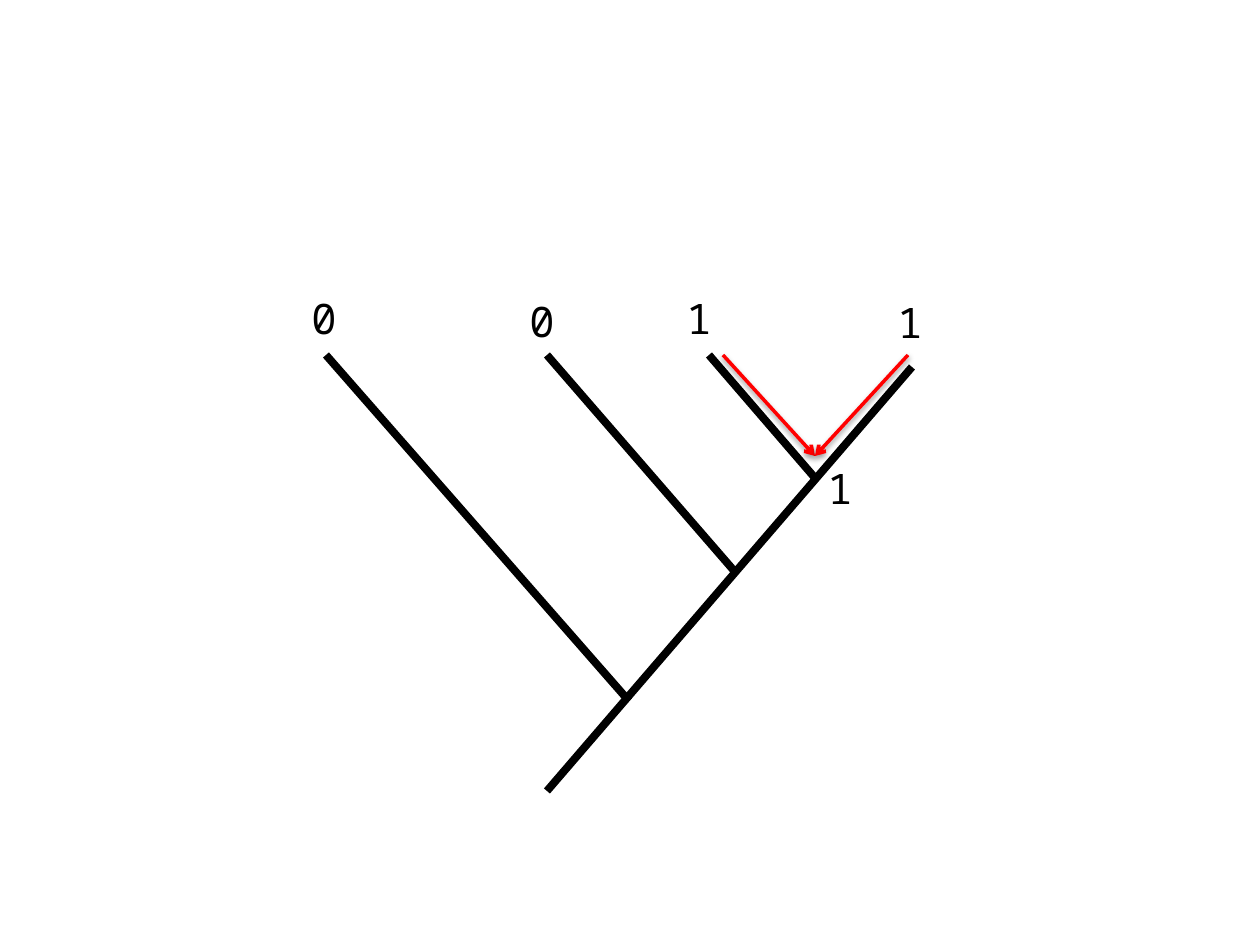
import lxml.etree
import pptx
import pptx.dml.color
import pptx.enum.shapes
import pptx.enum.text
import pptx.oxml.ns
import pptx.util

PX = 914400 / 126
COLORS = {"branch": "000000", "state": "000000", "pass": "FF0000", "shadow": "000000"}
FONT = "Noto Sans Mono"


def emu(px):
    return pptx.util.Emu(round(px * PX))


def color(name):
    return pptx.dml.color.RGBColor.from_string(COLORS[name])


def add_xml(parent, tag, **attributes):
    return lxml.etree.SubElement(parent, pptx.oxml.ns.qn(tag), attributes)


class TreeSlide:
    def __init__(self, presentation):
        self.slide = presentation.slides.add_slide(presentation.slide_layouts[6])
        self.shapes = self.slide.shapes

    def state(self, text, left, top, shapes=None):
        box = (shapes or self.shapes).add_textbox(emu(left), emu(top), emu(57), emu(63))
        frame = box.text_frame
        frame.word_wrap = True
        frame.auto_size = pptx.enum.text.MSO_AUTO_SIZE.SHAPE_TO_FIT_TEXT
        run = frame.paragraphs[0].add_run()
        run.text = text
        run.font.name = FONT
        run.font.size = pptx.util.Pt(24)
        run.font.color.rgb = color("state")

    def line(self, shapes, start, end, stroke, width):
        connector = shapes.add_connector(
            pptx.enum.shapes.MSO_CONNECTOR.STRAIGHT, *map(emu, start + end))
        connector.line.color.rgb = color(stroke)
        connector.line.width = pptx.util.Pt(width)
        effects = add_xml(connector._element.spPr, "a:effectLst")
        return connector, effects

    def branch(self, start, end):
        self.line(self.shapes, start, end, "branch", 4.5)

    def arrow(self, start, end, shapes):
        connector, effects = self.line(shapes, start, end, "pass", 2)
        add_xml(connector.line._get_or_add_ln(), "a:tailEnd", type="arrow")
        shadow = add_xml(effects, "a:outerShdw", blurRad="40000", dist="20000",
                         dir="5400000", rotWithShape="0")
        tint = add_xml(shadow, "a:srgbClr", val=COLORS["shadow"])
        add_xml(tint, "a:alpha", val="38000")


def main():
    presentation = pptx.Presentation()
    presentation.slide_width = emu(1260)
    presentation.slide_height = emu(945)
    tree = TreeSlide(presentation)

    # Trunk and the three branches that join it
    tip_top = 355
    tree.branch((912, 367), (547, 791))
    for tip_x, joint in ((709, (815, 478)), (547, (736, 573)), (326, (629, 701))):
        tree.branch((tip_x, tip_top), joint)

    # States at the tips
    for text, left, top in (("0", 299, 286), ("0", 517, 289),
                            ("1", 674, 286), ("1", 885, 290)):
        tree.state(text, left, top)

    # Both right tips pass their state down to the ancestor
    ancestor = (815, 456)
    passing = tree.shapes.add_group_shape().shapes
    for tip_x in (723, 908):
        tree.arrow((tip_x, tip_top), ancestor, passing)
    tree.state("1", *ancestor, shapes=passing)

    presentation.save("out.pptx")


if __name__ == "__main__":
    main()
